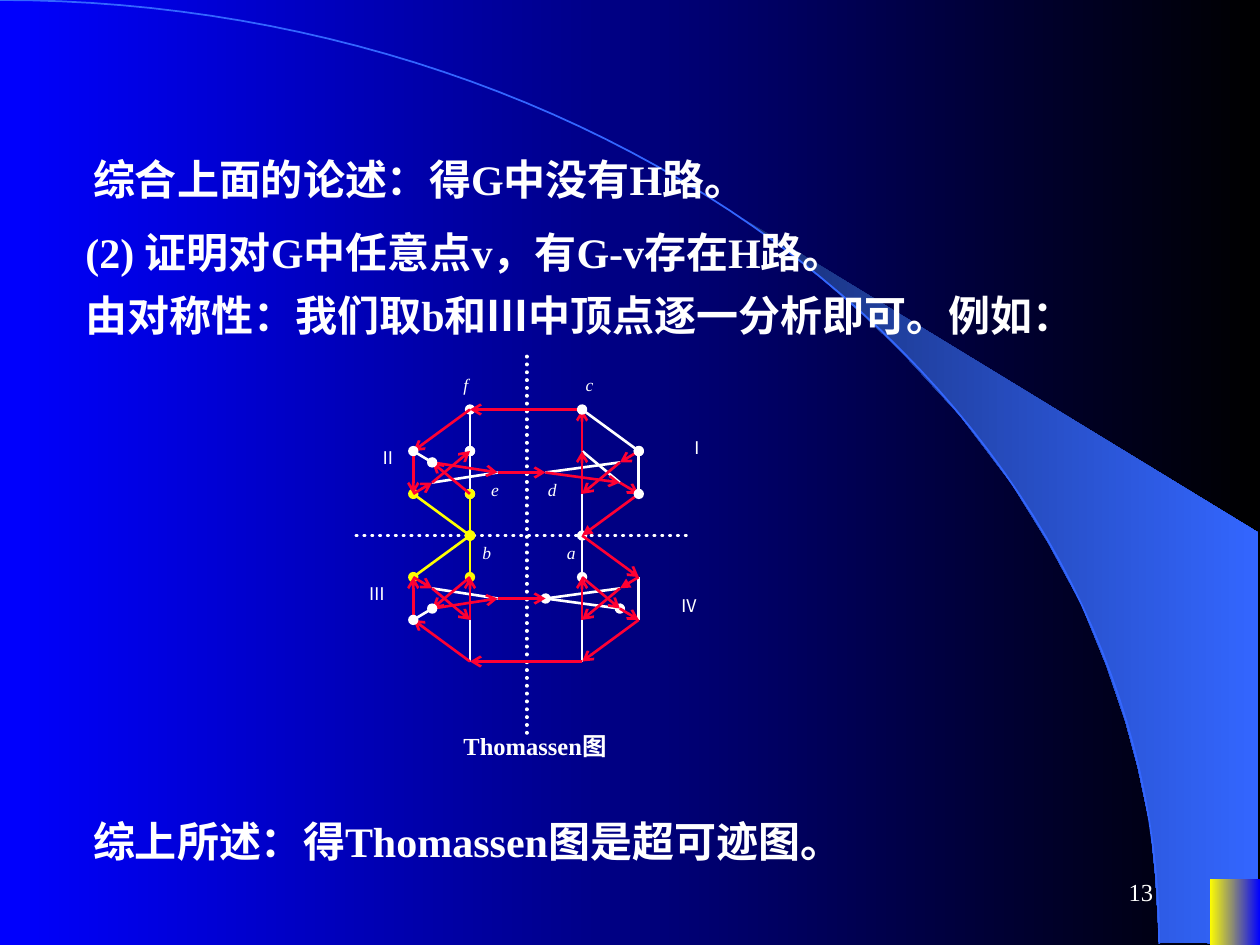
from itertools import pairwise
from math import cos, pi, sin
from lxml.etree import SubElement
from pptx import Presentation
from pptx.dml.color import RGBColor
from pptx.enum.dml import MSO_LINE
from pptx.enum.shapes import MSO_CONNECTOR, MSO_SHAPE
from pptx.enum.text import MSO_ANCHOR, PP_ALIGN
from pptx.oxml.ns import qn
from pptx.util import Inches, Pt

COLORS = {
    "white": "FFFFFF", "red": "FF0033", "yellow": "FFFF00", "blue": "0000FF",
    "black": "000000", "navy": "182F76", "sky": "3366FF",
}
SERIF, CJK = "Times New Roman", "Noto Sans CJK SC"

# Statements: left, top, width, runs of (text, font)
STATEMENTS = [
    (0.64, 1.17, 8.36, [("综合上面的论述：得G中没有H路。", SERIF)]),
    (0.58, 1.75, 8, [("(2) 证明对G中任意点v，有G-v存在H路。", SERIF)]),
    (0.58, 2.25, 9.08, [("由对称性：我们取b和", SERIF),
                        ("Ⅲ中顶点逐一分析即可。例如：", CJK)]),
    (0.64, 6.42, 8.36, [("综上所述：得Thomassen图是超可迹图。", SERIF)]),
]
PAGE_NUMBER = "13"
CAPTION = "Thomassen图"

# Graph labels: text, left, top, width
VERTEX_LABELS = [
    ("a", 4.4, 4.25, 0.3), ("b", 3.73, 4.25, 0.3), ("d", 4.25, 3.75, 0.3),
    ("e", 3.8, 3.75, 0.3), ("f", 3.58, 2.92, 0.3), ("c", 4.55, 2.92, 0.3),
]
QUADRANT_LABELS = [
    ("Ⅰ", 5.37, 3.42, 0.3), ("Ⅱ", 2.91, 3.5, 0.35),
    ("Ⅲ", 2.83, 4.58, 0.3), ("Ⅳ", 5.3, 4.67, 0.4),
]

# Vertices: each quadrant has outer, middle, inner columns and a tip
LEFT = {"o": 3.28, "m": 3.43, "i": 3.73, "t": 3.95}
RIGHT = {"o": 5.07, "m": 4.92, "i": 4.62, "t": 4.33}
DROPS = {"o1": 0.33, "o2": 0.67, "m1": 0.42, "m2": 0.58,
         "i1": 0.33, "i2": 0.67, "t": 0.5}
QUADRANTS = {"I": (RIGHT, 3.25), "II": (LEFT, 3.25),
             "III": (LEFT, 4.25), "IV": (RIGHT, 4.25)}
AXES = [((4.18, 2.83), (4.18, 5.83)), ((2.83, 4.25), (5.45, 4.25))]

# Edges: each route is a chain of vertices
PLAIN_EDGES = ["IVi2 h", "IVm1 IVt IIIt"[:8], "IIm2 IIt", "Ii2 a", "Im1 It",
               "Ii1 Im2", "IIIi2 g", "IVo1 IVo2", "IIIm1 IIIt"]
PLAIN_EDGES[1] = "IVm1 IVt"
DOTTED_EDGES = ["a IVi1", "f IIi1 IIi2", "IVt IVm2"]
REMOVED_EDGES = ["IIo2 b", "IIi2 b", "b IIIi1", "b IIIo1"]
PATHS = [
    "Io1 Im1 Ii2 Ii1 c f IIo1 IIo2 IIm2 IIi1",
    "IIi2 IIm1 IIt It Im2 Io2",
    "a IVo1",
    "IVm1 IVi2 IVi1 IVm2 IVo2 h g IIIo2 IIIo1 IIIm1 IIIi2 IIIi1 IIIm2 IIIt IVt",
]
SOLID_TIP_EDGES = ["Io2 a", "IVo1 IVm1"]
TOP_DOTTED_EDGES = ["c Io1 Io2", "IIo1 IIm1", "IIIo2 IIIm2"]

# Layers from back to front: routes, colour, start end, finish end
LAYERS = [
    (PLAIN_EDGES, "white", None, None),
    (DOTTED_EDGES, "white", "oval", "oval"),
    (REMOVED_EDGES, "yellow", "oval", "oval"),
    (PATHS, "red", None, "arrow"),
    (SOLID_TIP_EDGES, "red", None, "triangle"),
    (TOP_DOTTED_EDGES, "white", "oval", "oval"),
]

# Corner band: right side, then the curve from top to bottom
BAND = [
    (9.2, 7.48), (9.99, 7.49), (9.99, 4.23), (5.89, 1.73), (6.24, 1.99),
    (6.53, 2.22), (6.85, 2.5), (7.16, 2.8), (7.62, 3.3), (8.03, 3.84),
    (8.32, 4.31), (8.58, 4.79), (8.78, 5.28), (8.93, 5.72), (9.03, 6.09),
    (9.13, 6.56), (9.17, 6.96),
]
ARC_STEPS = 60
ARC = [(9.2 * sin(k * pi / 2 / ARC_STEPS), 7.49 - 7.49 * cos(k * pi / 2 / ARC_STEPS))
       for k in range(ARC_STEPS + 1)]

prs = Presentation()
prs.slide_width, prs.slide_height = Inches(10), Inches(7.5)
slide = prs.slides.add_slide(prs.slide_layouts[6])
shapes = slide.shapes


def rgb(name):
    return RGBColor.from_string(COLORS[name])


def shade(fill, start, finish):
    fill.gradient()
    fill.gradient_angle = 0
    for stop, name, position in zip(fill.gradient_stops, (start, finish), (0, 1)):
        stop.color.rgb = rgb(name)
        stop.position = position


def outline(points, close):
    corners = [(Inches(x), Inches(y)) for x, y in points]
    builder = shapes.build_freeform(*corners[0])
    builder.add_line_segments(corners[1:], close=close)
    shape = builder.convert_to_shape()
    shape.shadow.inherit = False
    return shape


def add_text(runs, left, top, width, height, size, bold=False, italic=False,
             align=PP_ALIGN.LEFT, anchor=MSO_ANCHOR.TOP):
    frame = shapes.add_textbox(Inches(left), Inches(top),
                               Inches(width), Inches(height)).text_frame
    frame.word_wrap = True
    frame.vertical_anchor = anchor
    paragraph = frame.paragraphs[0]
    paragraph.alignment = align
    for text, face in runs:
        run = paragraph.add_run()
        run.text = text
        font = run.font
        font.name, font.size, font.bold, font.italic = face, Pt(size), bold, italic
        font.color.rgb = rgb("white")
        SubElement(font._element, qn("a:ea")).set("typeface", CJK)


def add_line(start, finish, color, width, head=None, tail=None):
    line = shapes.add_connector(MSO_CONNECTOR.STRAIGHT,
                                *(Inches(v) for v in start + finish))
    line.line.color.rgb = rgb(color)
    line.line.width = Pt(width)
    properties = line._element.spPr
    for tag, end in (("a:headEnd", head), ("a:tailEnd", tail)):
        if end:
            SubElement(properties.find(qn("a:ln")), qn(tag)).set("type", end)
    SubElement(properties, qn("a:effectLst"))
    return line


# Background and decoration
shade(slide.background.fill, "blue", "black")
band = outline(BAND, True)
shade(band.fill, "navy", "sky")
band.line.fill.background()
arc = outline(ARC, False)
arc.fill.background()
arc.line.color.rgb = rgb("sky")
arc.line.width = Pt(1)
corner = shapes.add_shape(MSO_SHAPE.RECTANGLE, Inches(9.6), Inches(6.98),
                          Inches(0.4), Inches(0.52))
corner.shadow.inherit = False
shade(corner.fill, "yellow", "blue")
corner.line.fill.background()

# Page number and statements
add_text([(PAGE_NUMBER, SERIF)], 7.17, 6.83, 2.08, 0.5, 14,
         align=PP_ALIGN.RIGHT, anchor=MSO_ANCHOR.MIDDLE)
for left, top, width, runs in STATEMENTS:
    add_text(runs, left, top, width, 0.5, 24, bold=True)

# Graph labels
for text, left, top, width in VERTEX_LABELS:
    add_text([(text, SERIF)], left, top, width, 0.29, 10, italic=True)
for text, left, top, width in QUADRANT_LABELS:
    add_text([(text, CJK)], left, top, width, 0.29, 10)
add_text([(CAPTION, SERIF)], 3.58, 5.75, 1.57, 0.29, 14, bold=True)

# Axes of symmetry
for start, finish in AXES:
    axis = add_line(start, finish, "white", 2.25)
    axis.line.dash_style = MSO_LINE.ROUND_DOT
    axis._element.spPr.find(qn("a:ln")).set("cap", "rnd")

# Graph edges
vertices = {"f": (3.73, 3.25), "c": (4.62, 3.25), "b": (3.73, 4.25),
            "a": (4.62, 4.25), "g": (3.73, 5.25), "h": (4.62, 5.25)}
for quadrant, (columns, top) in QUADRANTS.items():
    for spot, drop in DROPS.items():
        vertices[quadrant + spot] = (columns[spot[0]], top + drop)
for routes, color, head, tail in LAYERS:
    for route in routes:
        for start, finish in pairwise(route.split()):
            add_line(vertices[start], vertices[finish], color, 1.5, head, tail)

prs.save("out.pptx")
